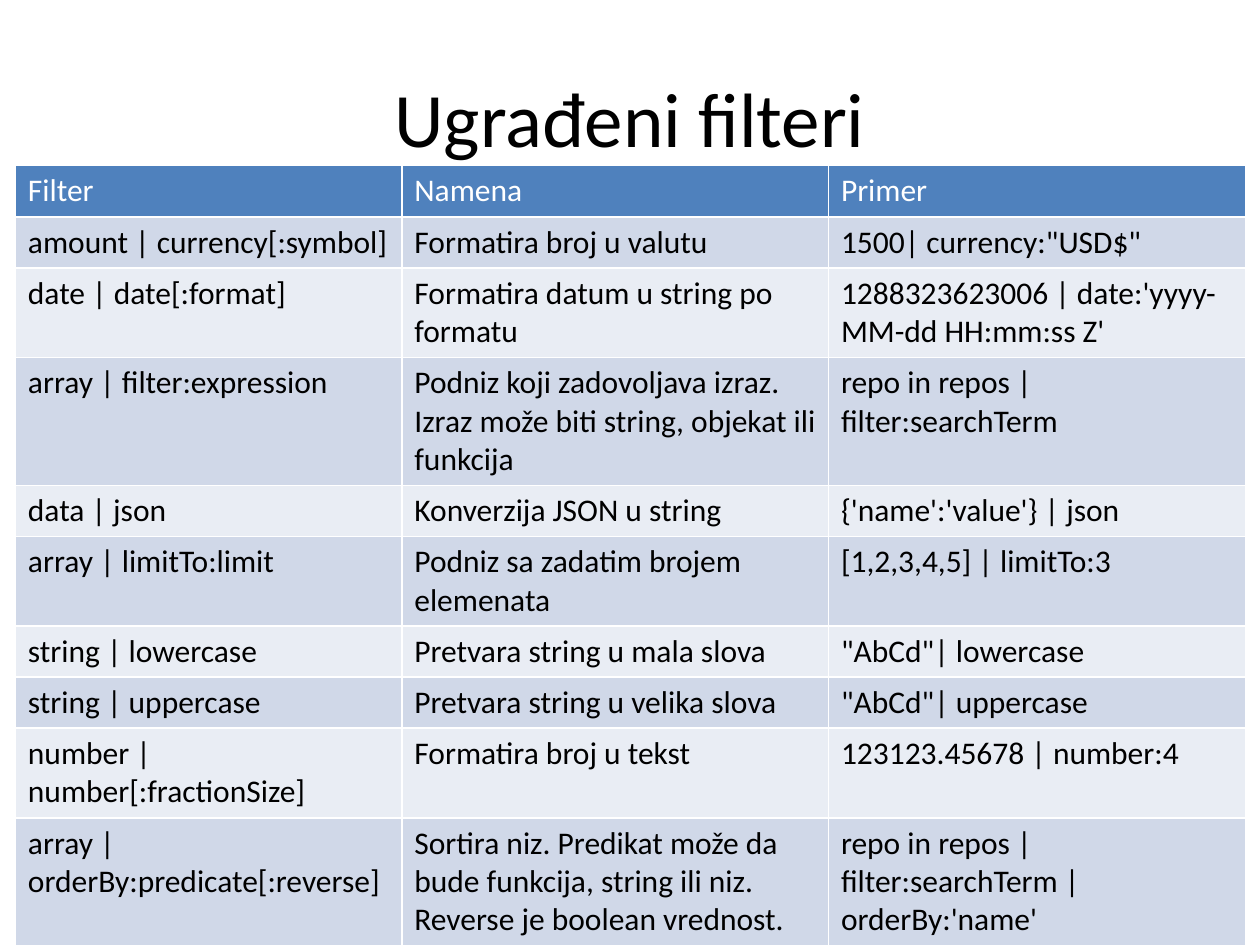
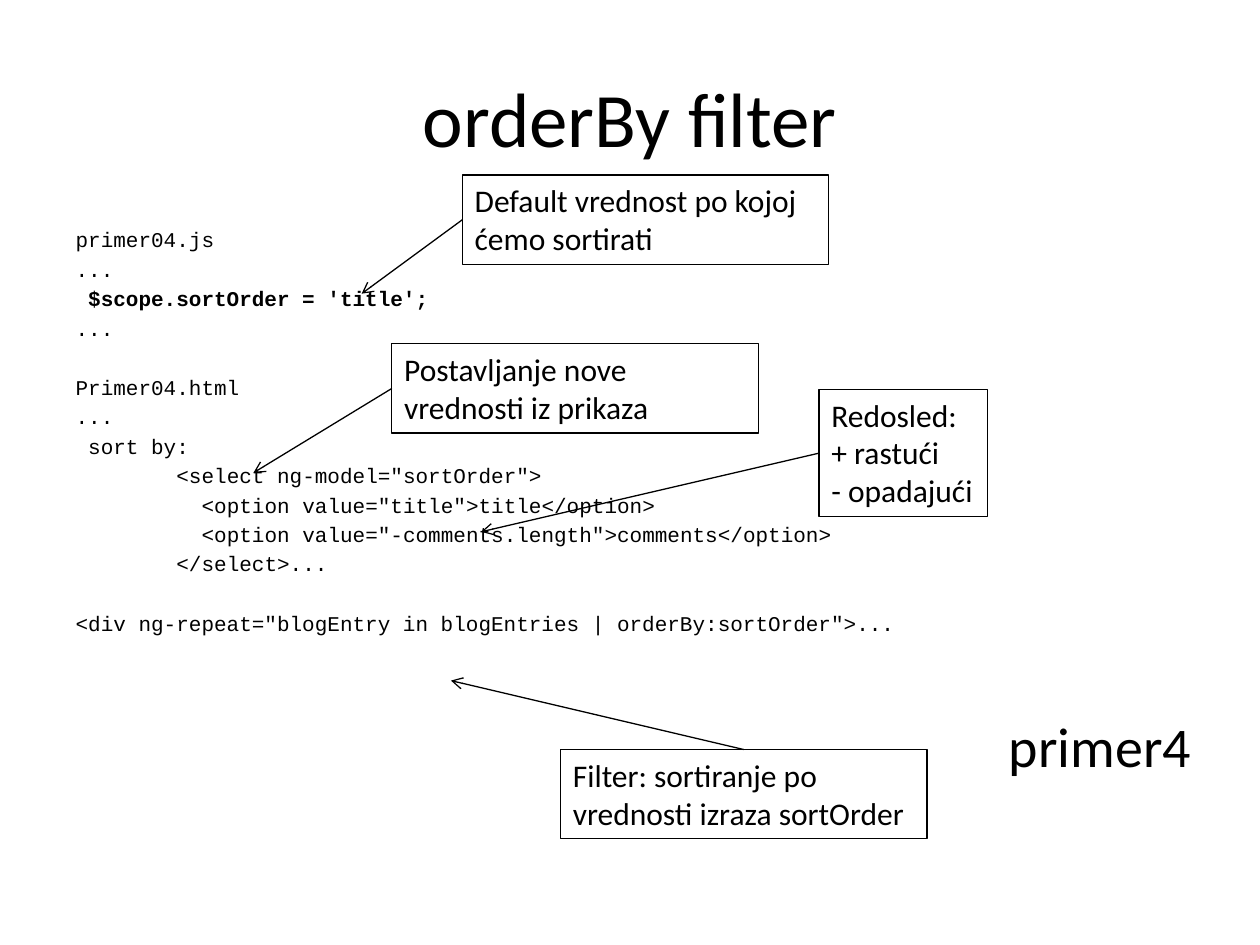
from dataclasses import dataclass

from lxml.etree import SubElement
from pptx import Presentation
from pptx.dml.color import RGBColor
from pptx.enum.shapes import MSO_CONNECTOR as Connector
from pptx.enum.text import MSO_ANCHOR as Anchor, MSO_AUTO_SIZE as AutoSize, PP_ALIGN as Align
from pptx.oxml.ns import qn
from pptx.util import Cm, Pt

COLORS = {
    "text": "000000",
    "header_text": "FFFFFF",
    "header": "4F81BD",
    "odd_row": "D0D8E8",
    "even_row": "E9EDF4",
}
SANS, MONO = "Calibri", "Courier New"
TOP_SITE, LEFT_SITE = 0, 1
CODE_CHAR_WIDTH = 0.254


@dataclass(frozen=True)
class CodeLine:
    text: str
    indent: int = 0
    bold: bool = False
    new_block: bool = False


@dataclass(frozen=True)
class Callout:
    lines: tuple[str, ...]
    left: float
    top: float
    target: tuple[float, float]
    width: float = 7.39
    height: float = 1.8
    site: int = LEFT_SITE


FILTERS = [
    ("Filter", "Namena", "Primer"),
    ("amount | currency[:symbol]", "Formatira broj u valutu", '1500| currency:"USD$"'),
    ("date | date[:format]", "Formatira datum u string po formatu",
     "1288323623006 | date:'yyyy-MM-dd HH:mm:ss Z'"),
    ("array | filter:expression",
     "Podniz koji zadovoljava izraz. Izraz može biti string, objekat ili funkcija",
     "repo in repos | filter:searchTerm"),
    ("data | json", "Konverzija JSON u string", "{'name':'value'} | json"),
    ("array | limitTo:limit", "Podniz sa zadatim brojem elemenata", "[1,2,3,4,5] | limitTo:3"),
    ("string | lowercase", "Pretvara string u mala slova", '"AbCd"| lowercase'),
    ("string | uppercase", "Pretvara string u velika slova", '"AbCd"| uppercase'),
    ("number | number[:fractionSize]", "Formatira broj u tekst", "123123.45678 | number:4"),
    ("array | orderBy:predicate[:reverse]",
     "Sortira niz. Predikat može da bude funkcija, string ili niz. Reverse je boolean vrednost.",
     "repo in repos | filter:searchTerm | orderBy:'name'"),
]
FILTER_WIDTHS = (7.79, 8.6, 8.41)
FILTER_ROW_HEIGHT = 1.03

CODE = [
    CodeLine("primer04.js"),
    CodeLine("..."),
    CodeLine("$scope.sortOrder = 'title';", indent=1, bold=True),
    CodeLine("..."),
    CodeLine("Primer04.html", new_block=True),
    CodeLine("..."),
    CodeLine("sort by:", indent=1),
    CodeLine('<select ng-model="sortOrder">', indent=8),
    CodeLine('<option value="title">title</option>', indent=10),
    CodeLine('<option value="-comments.length">comments</option>', indent=10),
    CodeLine("</select>...", indent=8),
    CodeLine('<div ng-repeat="blogEntry in blogEntries | orderBy:sortOrder">...', new_block=True),
]

CALLOUTS = [
    Callout(("Default vrednost po kojoj ćemo sortirati",), 9.32, 3.53, (7.29, 5.92)),
    Callout(("Postavljanje nove vrednosti iz prikaza",), 7.9, 6.93, (5.11, 9.53)),
    Callout(("Redosled:", "+ rastući", "- opadajući"), 16.51, 7.85, (9.7, 10.72),
            width=3.4, height=2.57),
    Callout(("Filter: sortiranje po vrednosti izraza sortOrder",), 11.3, 15.11, (9.09, 13.72),
            site=TOP_SITE),
]


def rgb(role: str) -> RGBColor:
    return RGBColor.from_string(COLORS[role])


def style(paragraph, size: float, family: str = SANS, color: str = "text",
          bold: bool = False) -> None:
    font = paragraph.font
    font.name, font.size, font.bold = family, Pt(size), bold
    font.color.rgb = rgb(color)


def add_titled_slide(deck, layout: int, heading: str):
    slide = deck.slides.add_slide(deck.slide_layouts[layout])
    title = slide.shapes.title.text_frame
    title.text = heading
    title.vertical_anchor = Anchor.MIDDLE
    title.paragraphs[0].alignment = Align.CENTER
    style(title.paragraphs[0], 44)
    return slide


def add_filter_table(slide) -> None:
    table = slide.shapes.add_table(
        len(FILTERS), len(FILTER_WIDTHS), Cm(0.31), Cm(3.34),
        Cm(sum(FILTER_WIDTHS)), Cm(FILTER_ROW_HEIGHT * len(FILTERS))).table
    for column, width in zip(table.columns, FILTER_WIDTHS):
        column.width = Cm(width)
    for index, (row, entries) in enumerate(zip(table.rows, FILTERS)):
        row.height = Cm(FILTER_ROW_HEIGHT)
        band = "header" if index == 0 else "odd_row" if index % 2 else "even_row"
        for cell, entry in zip(row.cells, entries):
            cell.text = entry
            cell.fill.solid()
            cell.fill.fore_color.rgb = rgb(band)
            style(cell.text_frame.paragraphs[0], 18,
                  color="header_text" if index == 0 else "text")


def fill_code(frame) -> None:
    frame.auto_size = AutoSize.NONE
    frame.text = "\n".join(line.text for line in CODE)
    for paragraph, line in zip(frame.paragraphs, CODE):
        properties = paragraph._p.get_or_add_pPr()
        properties.set("marL", str(Cm(line.indent * CODE_CHAR_WIDTH)))
        properties.set("indent", "0")
        SubElement(properties, qn("a:buNone"))
        if line.new_block:
            paragraph.space_before = Pt(19.5)
        style(paragraph, 12, MONO, bold=line.bold)


def add_label(slide, lines: tuple[str, ...], left: float, top: float, width: float,
              height: float, size: float, wrap: bool = True):
    label = slide.shapes.add_textbox(Cm(left), Cm(top), Cm(width), Cm(height))
    frame = label.text_frame
    frame.word_wrap = wrap
    frame.auto_size = AutoSize.SHAPE_TO_FIT_TEXT
    frame.text = "\n".join(lines)
    for paragraph in frame.paragraphs:
        style(paragraph, size)
    return label


def outline(line) -> None:
    line.color.rgb = rgb("text")
    line.width = Pt(0.75)


def add_callout(slide, callout: Callout) -> None:
    label = add_label(slide, callout.lines, callout.left, callout.top,
                      callout.width, callout.height, 18)
    outline(label.line)
    target_x, target_y = callout.target
    arrow = slide.shapes.add_connector(
        Connector.STRAIGHT, Cm(callout.left), Cm(callout.top), Cm(target_x), Cm(target_y))
    arrow.begin_connect(label, callout.site)
    outline(arrow.line)
    SubElement(arrow.line._get_or_add_ln(), qn("a:tailEnd"), type="arrow")
    SubElement(arrow._element.spPr, qn("a:effectLst"))


def main() -> None:
    deck = Presentation()
    deck.slide_width, deck.slide_height = Cm(25.4), Cm(19.05)

    add_filter_table(add_titled_slide(deck, 5, "Ugrađeni filteri"))

    order_by = add_titled_slide(deck, 1, "orderBy filter")
    fill_code(order_by.placeholders[1].text_frame)
    for callout in CALLOUTS:
        add_callout(order_by, callout)
    add_label(order_by, ("primer4",), 20.09, 14.22, 4.22, 1.63, 32, wrap=False)

    deck.save("out.pptx")


main()
